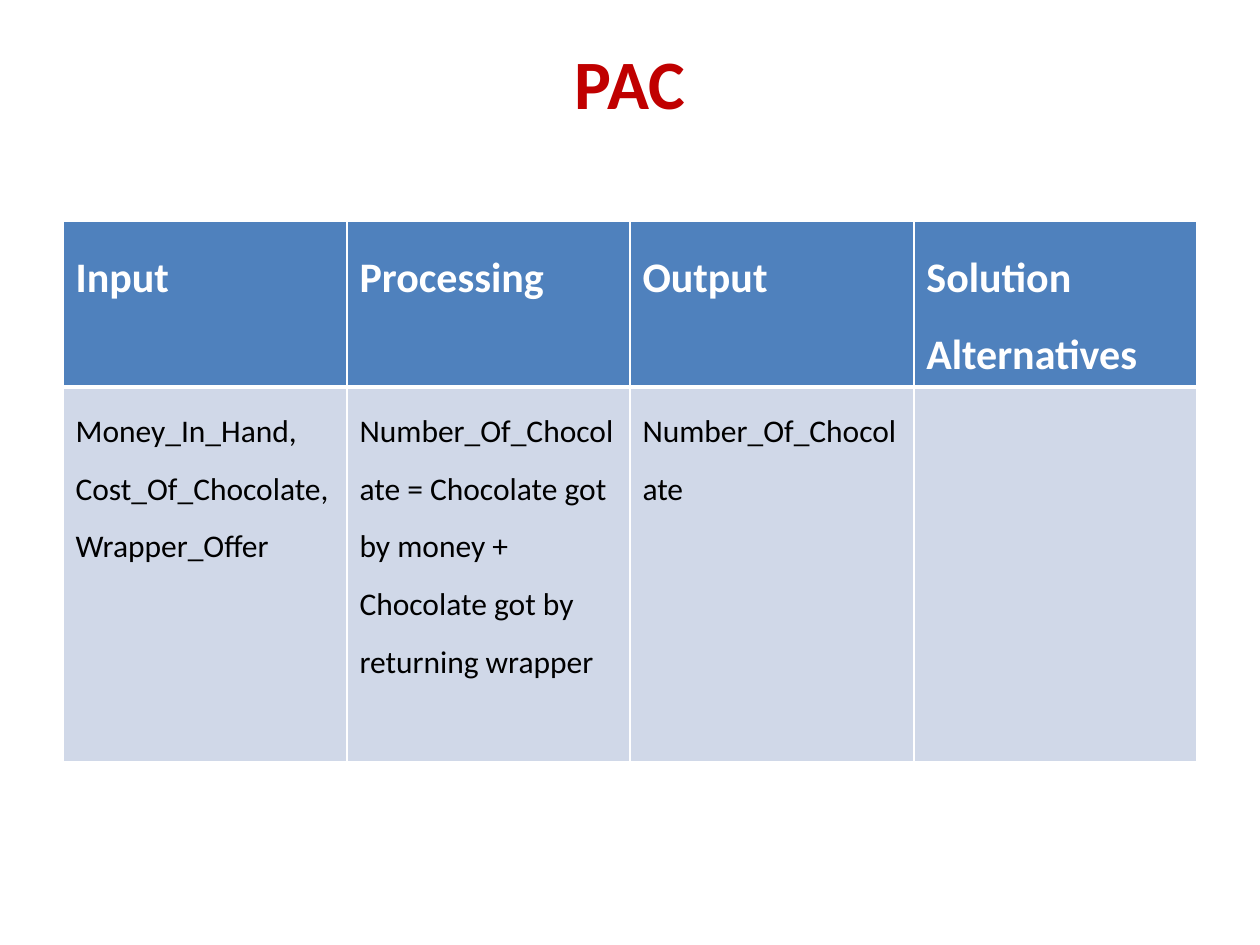
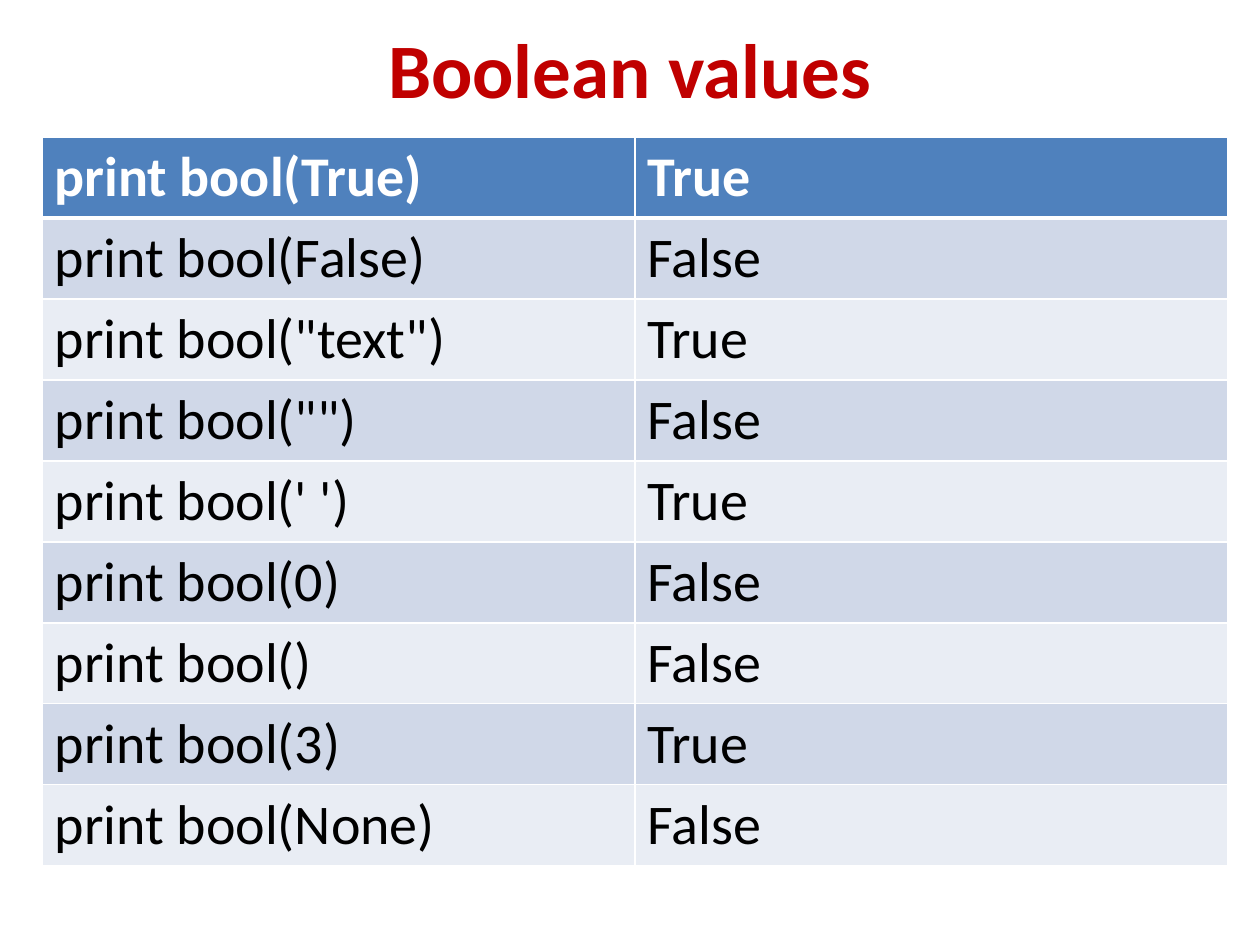
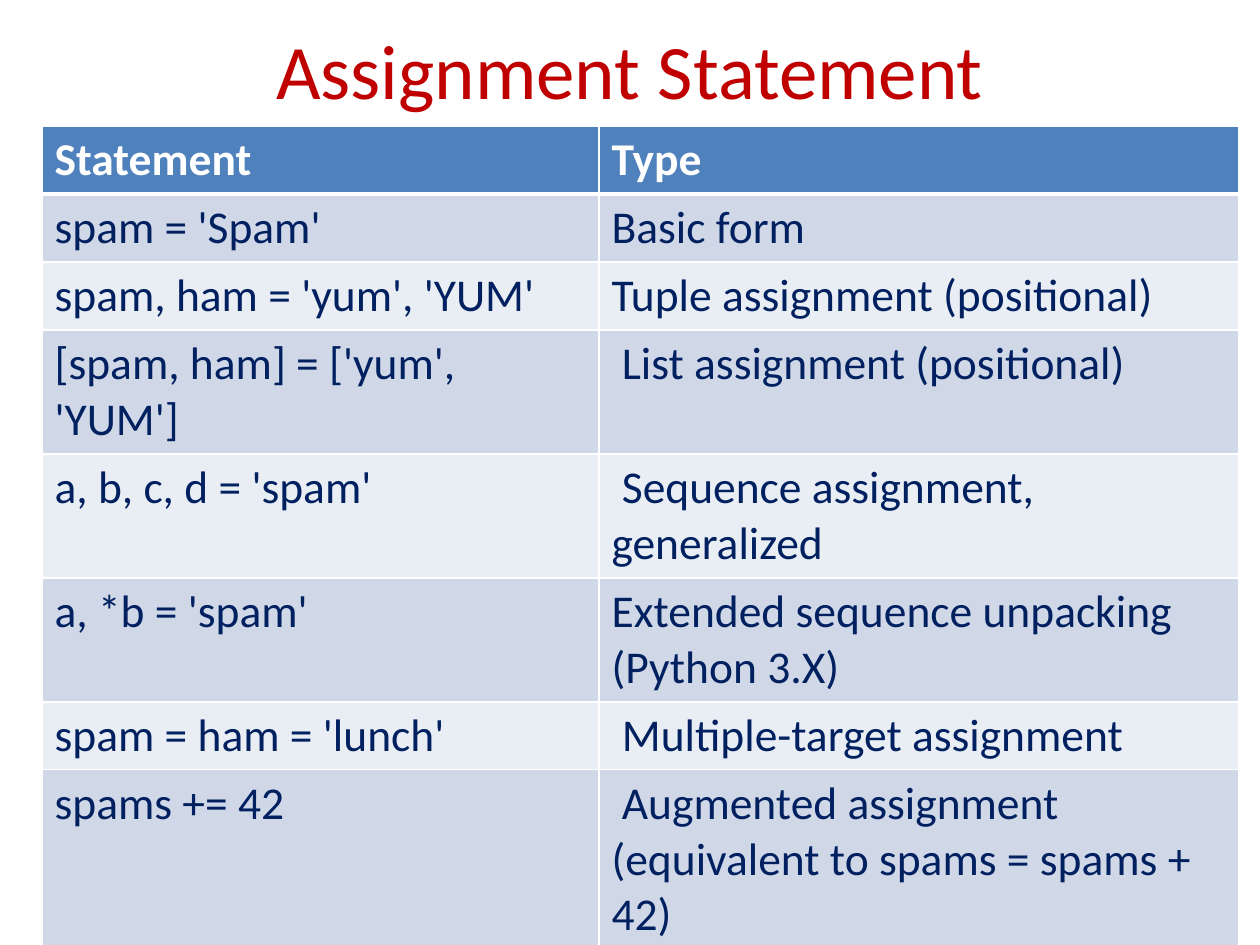
from dataclasses import dataclass

from lxml.etree import SubElement
from pptx import Presentation
from pptx.dml.color import RGBColor
from pptx.enum.text import MSO_ANCHOR as Anchor, PP_ALIGN as Align
from pptx.oxml.ns import qn
from pptx.slide import Slide
from pptx.table import _Cell as Cell
from pptx.text.text import TextFrame
from pptx.util import Emu, Pt

PX = 914400 // 126


@dataclass(frozen=True)
class Theme:
    font: str = "Calibri"
    title: str = "C00000"
    header: str = "4F81BD"
    bands: tuple[str, str] = ("D0D8E8", "E9EDF4")
    white: str = "FFFFFF"
    black: str = "000000"
    navy: str = "002060"
    title_size: float = 44
    small_title_size: float = 39.6
    thin: float = 1
    thick: float = 3


@dataclass(frozen=True)
class Title:
    text: str
    top: int
    height: int
    size: float = Theme.title_size
    bold: bool = True


@dataclass(frozen=True)
class Grid:
    left: int
    top: int
    cols: list[int]
    heights: list[int]
    rows: list[tuple[str, ...]]
    header_size: float
    body_size: float
    color: str = Theme.black
    spacing: float = 1.0


THEME = Theme()


def px(n: int) -> Emu:
    return Emu(n * PX)


def write(tf: TextFrame, text: str, *, size: float, color: str, bold: bool = False,
          align: Align = Align.LEFT, spacing: float = 1.0) -> None:
    p = tf.paragraphs[0]
    p.alignment = align
    p.line_spacing = spacing
    for i, line in enumerate(text.split("\n")):
        if i:
            p.add_line_break()
        r = p.add_run()
        r.text = line
        r.font.name = THEME.font
        r.font.size = Pt(size)
        r.font.bold = bold
        r.font.color.rgb = RGBColor.from_string(color)


def add_title(s: Slide, title: Title) -> None:
    sp = s.shapes.add_textbox(px(63), px(title.top), px(1134), px(title.height))
    tf = sp.text_frame
    tf.word_wrap = True
    tf.vertical_anchor = Anchor.MIDDLE
    write(tf, title.text, size=title.size, color=THEME.title, bold=title.bold,
          align=Align.CENTER)


def set_borders(cell: Cell, top: float, bottom: float) -> None:
    tc_pr = cell._tc.get_or_add_tcPr()
    widths = {"L": THEME.thin, "R": THEME.thin, "T": top, "B": bottom}
    for side, width in widths.items():
        ln = SubElement(tc_pr, qn(f"a:ln{side}"), w=str(Pt(width)))
        fill = SubElement(ln, qn("a:solidFill"))
        SubElement(fill, qn("a:srgbClr"), val=THEME.white)


def add_grid(s: Slide, grid: Grid) -> None:
    frame = s.shapes.add_table(len(grid.rows), len(grid.cols), px(grid.left), px(grid.top),
                               px(sum(grid.cols)), px(sum(grid.heights)))
    table = frame.table
    for col, width in zip(table.columns, grid.cols):
        col.width = px(width)
    for i, (row, height) in enumerate(zip(grid.rows, grid.heights)):
        table.rows[i].height = px(height)
        head = i == 0
        for j, text in enumerate(row):
            cell = table.cell(i, j)
            set_borders(cell, THEME.thick if i == 1 else THEME.thin,
                        THEME.thick if head else THEME.thin)
            cell.fill.solid()
            fill = THEME.header if head else THEME.bands[(i - 1) % 2]
            cell.fill.fore_color.rgb = RGBColor.from_string(fill)
            if text:
                write(cell.text_frame, text, bold=head, spacing=grid.spacing,
                      size=grid.header_size if head else grid.body_size,
                      color=THEME.white if head else grid.color)


BOOLEANS = [("True", True), ("False", False), ('"text"', True), ('""', False), ("' '", True),
            ("0", False), ("", False), ("3", True), ("None", False)]

SLIDES = [
    (
        Title("PAC", 38, 88, size=THEME.small_title_size),
        Grid(63, 221, [284, 283, 284, 283], [166, 375], [
            ("Input", "Processing", "Output", "Solution Alternatives"),
            ("Money_In_Hand,\nCost_Of_Chocolate,\nWrapper_Offer",
             "Number_Of_Chocolate = Chocolate got by money + "
             "Chocolate got by returning wrapper",
             "Number_Of_Chocolate", ""),
        ], header_size=24, body_size=18, spacing=1.5),
    ),
    (
        Title("Boolean values", 10, 116),
        Grid(42, 137, [593, 593], [81] * len(BOOLEANS),
             [(f"print bool({arg})", str(value)) for arg, value in BOOLEANS],
             header_size=32, body_size=32),
    ),
    (
        Title("Assignment Statement", -10, 157, bold=False),
        Grid(42, 126, [557, 640], [68, 68, 68, 124, 124, 124, 68, 174], [
            ("Statement", "Type"),
            ("spam = 'Spam'", "Basic form"),
            ("spam, ham = 'yum', 'YUM'", "Tuple assignment (positional)"),
            ("[spam, ham] = ['yum', 'YUM']", " List assignment (positional)"),
            ("a, b, c, d = 'spam'", " Sequence assignment, generalized"),
            ("a, *b = 'spam'", "Extended sequence unpacking (Python 3.X)"),
            ("spam = ham = 'lunch'", " Multiple-target assignment"),
            ("spams += 42", " Augmented assignment (equivalent to spams = spams + 42)"),
        ], header_size=26, body_size=26, color=THEME.navy),
    ),
]

prs = Presentation()
prs.slide_width, prs.slide_height = px(1260), px(945)
for title, grid in SLIDES:
    s = prs.slides.add_slide(prs.slide_layouts[6])
    add_title(s, title)
    add_grid(s, grid)
prs.save("out.pptx")
